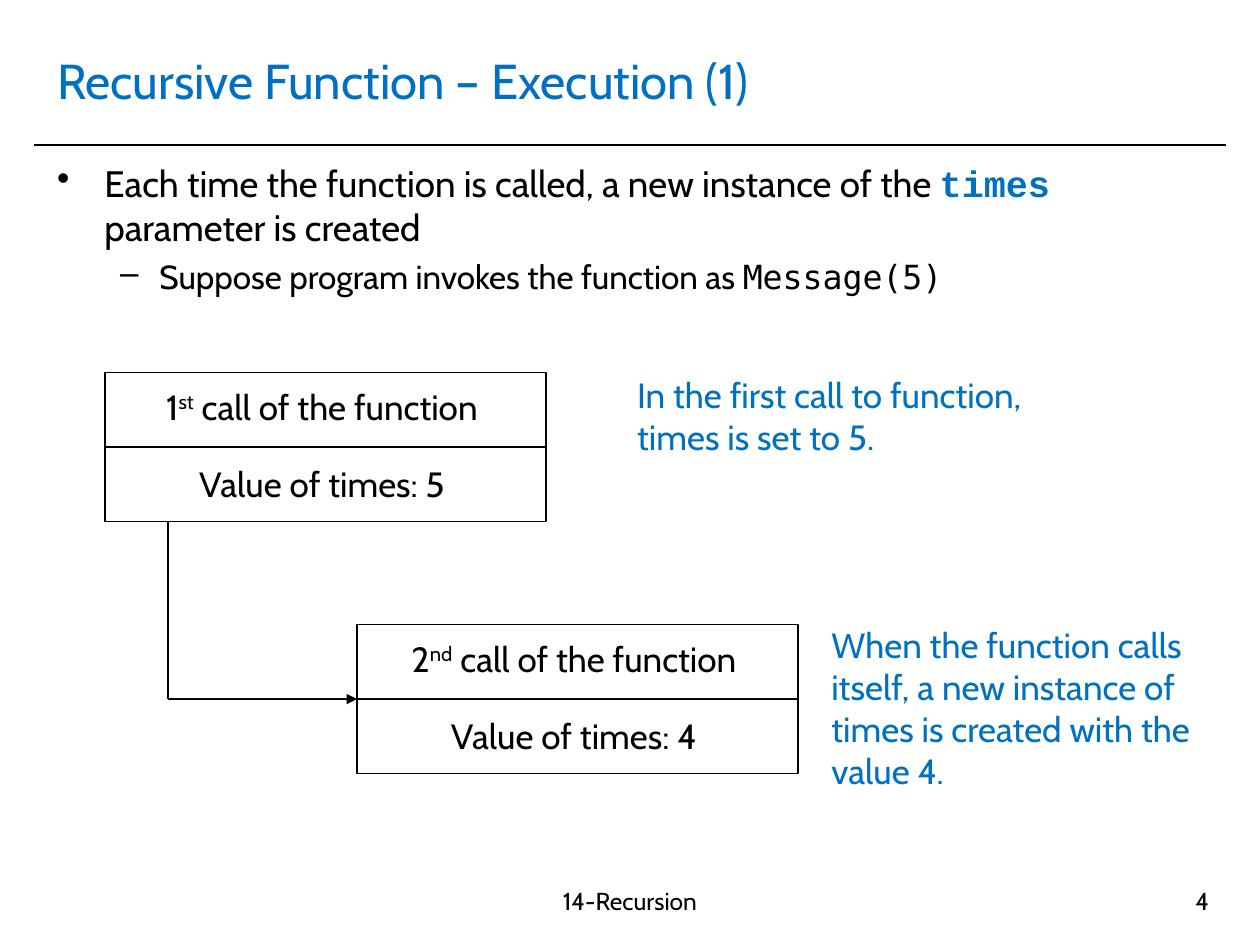
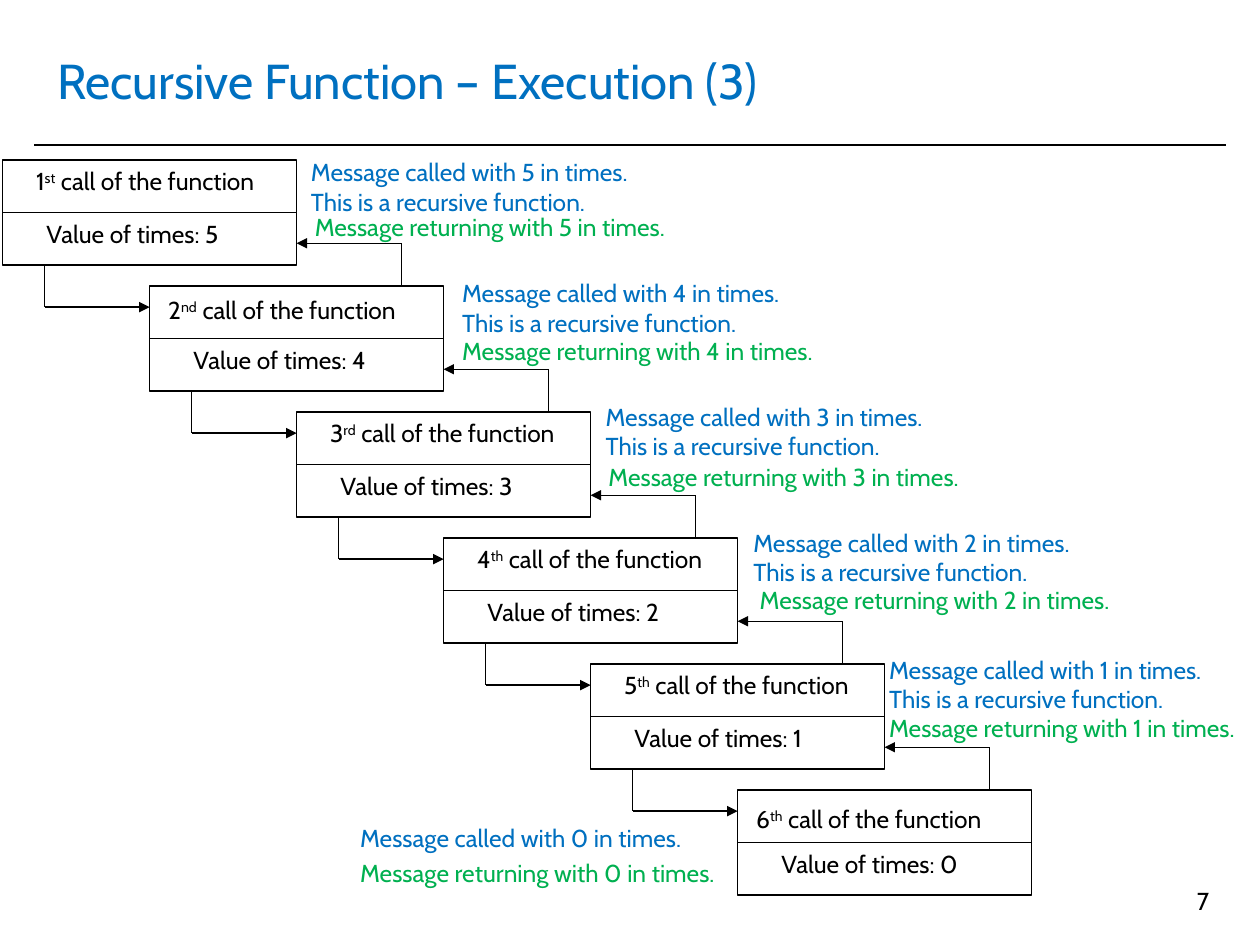
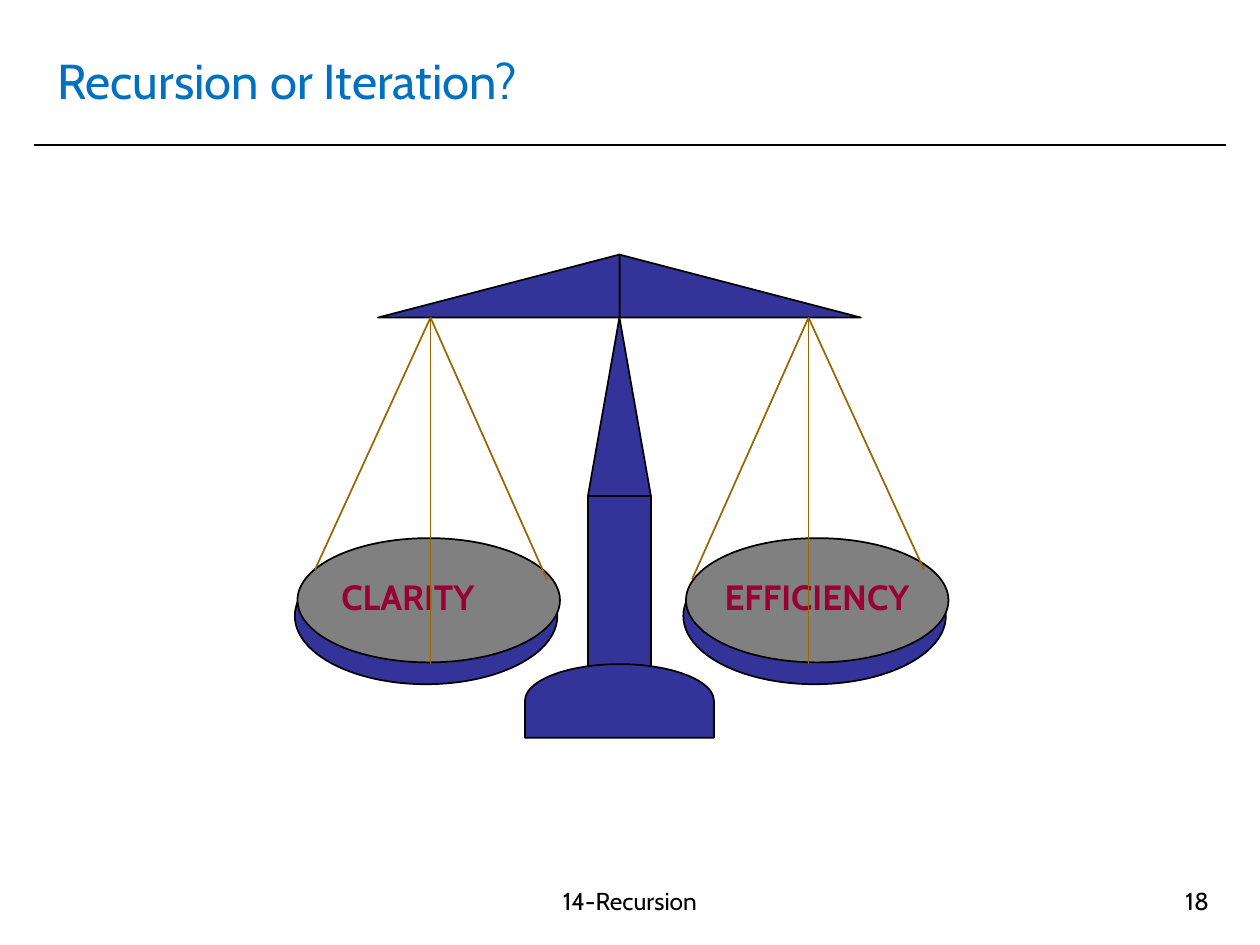
"""Build three slides on recursive function calls and the recursion trade-off."""
from dataclasses import dataclass
from itertools import pairwise
from typing import NamedTuple

from lxml import etree
from pptx import Presentation
from pptx import util as u
from pptx.dml.color import RGBColor
from pptx.enum import shapes, text
from pptx.oxml import ns

COLORS = {
    "black": "000000",
    "blue": "0070C0",
    "green": "00B050",
    "navy": "333399",
    "gray": "808080",
    "crimson": "990033",
    "brown": "996600",
}
FONT = "Cabin"
SHAPE = shapes.MSO_SHAPE
ALIGN = text.PP_ALIGN
CENTER_X = 354
BEAM_Y = 181.5


class Box(NamedTuple):
    left: float
    top: float
    width: float
    height: float


class Point(NamedTuple):
    x: float
    y: float


class Note(NamedTuple):
    value: int
    called: Point
    returning: Point


class Pan(NamedTuple):
    label: str
    dish_left: float
    label_left: float
    label_width: float
    mirrored: bool


@dataclass
class Call:
    number: int
    left: float
    top: float
    value: int
    width: float = 168
    height: float = 60

    @property
    def right(self) -> float:
        return self.left + self.width

    @property
    def bottom(self) -> float:
        return self.top + self.height

    @property
    def middle(self) -> float:
        return self.top + self.height / 2

    @property
    def suffix(self) -> str:
        return {1: "st", 2: "nd", 3: "rd"}.get(self.number, "th")


NOTES = [
    Note(5, Point(170.6, 86.4), Point(172.8, 117.4)),
    Note(4, Point(257, 155.5), Point(257, 188.6)),
    Note(3, Point(339, 226), Point(340.6, 260.6)),
    Note(2, Point(423.4, 298), Point(427, 330.5)),
    Note(1, Point(501, 370.8), Point(501, 404)),
    Note(0, Point(198.7, 466.6), Point(198.7, 486.7)),
]
PANS = [
    Pan("CLARITY", 168.5, 188, 104, False),
    Pan("EFFICIENCY", 390.5, 407, 138, True),
]


def rgb(color: str) -> RGBColor:
    return RGBColor.from_string(COLORS[color])


def add_run(p, content: str, *, size: float = 14, color: str = "black",
            font: str = FONT, bold: bool = False, raised: bool = False) -> None:
    for i, part in enumerate(content.split("\n")):
        if i:
            p.add_line_break()
        r = p.add_run()
        r.text = part
        r.font.size = u.Pt(size)
        r.font.name = font
        r.font.bold = bold
        r.font.color.rgb = rgb(color)
        if raised:
            r.font._element.set("baseline", "30000")


def add_frame(s, box: Box, anchor=text.MSO_ANCHOR.TOP):
    tf = s.shapes.add_textbox(*map(u.Pt, box)).text_frame
    tf.word_wrap = True
    tf.vertical_anchor = anchor
    return tf


def add_text(s, box: Box, content: str, align=ALIGN.LEFT,
             anchor=text.MSO_ANCHOR.TOP, **fmt) -> None:
    p = add_frame(s, box, anchor).paragraphs[0]
    p.alignment = align
    add_run(p, content, **fmt)


def add_bullet(p, char: str, margin: float, indent: float) -> None:
    pPr = p._p.get_or_add_pPr()
    pPr.set("marL", str(u.Pt(margin)))
    pPr.set("indent", str(u.Pt(-indent)))
    etree.SubElement(pPr, ns.qn("a:buChar"), char=char)


def add_line(s, start: Point, end: Point, *, color: str = "black",
             width: float = 0.75, arrow: bool = False) -> None:
    c = s.shapes.add_connector(shapes.MSO_CONNECTOR.STRAIGHT,
                               *map(u.Pt, (*start, *end)))
    c.line.color.rgb = rgb(color)
    c.line.width = u.Pt(width)
    if arrow:
        etree.SubElement(c.line._get_or_add_ln(), ns.qn("a:tailEnd"), type="triangle")
    etree.SubElement(c._element.spPr, ns.qn("a:effectLst"))


def add_elbow(s, start: Point, end: Point) -> None:
    corner = Point(start.x, end.y)
    add_line(s, start, corner)
    add_line(s, corner, end, arrow=True)


def add_shape(s, kind, box: Box, *, fill: str = "", width: float = 1,
              rotation: float = 0, flip: bool = False) -> None:
    sp = s.shapes.add_shape(kind, *map(u.Pt, box))
    sp.shadow.inherit = False
    sp.rotation = rotation
    sp.line.color.rgb = rgb("black")
    sp.line.width = u.Pt(width)
    if fill:
        sp.fill.solid()
        sp.fill.fore_color.rgb = rgb(fill)
    else:
        sp.fill.background()
    if flip:
        sp._element.spPr.get_or_add_xfrm().set("flipH", "1")


def add_slide(prs, title: str, number: int, footer: str = ""):
    s = prs.slides.add_slide(prs.slide_layouts[6])
    add_line(s, Point(19.5, 82.8), Point(700.5, 82.8), width=1)
    add_text(s, Box(25.5, 15, 669, 61), title, anchor=text.MSO_ANCHOR.MIDDLE,
             size=28, color="blue")
    if footer:
        add_text(s, Box(241, 502.5, 238, 37.5), footer, ALIGN.CENTER)
    add_text(s, Box(530, 502.5, 168, 37.5), str(number), ALIGN.RIGHT)
    return s


def add_call(s, call: Call, head: Box, value: Box, *, size: float, align) -> None:
    add_shape(s, SHAPE.RECTANGLE, Box(call.left, call.top, call.width, call.height),
              width=0.75)
    add_line(s, Point(call.left, call.middle), Point(call.right, call.middle))
    p = add_frame(s, head).paragraphs[0]
    p.alignment = align
    add_run(p, str(call.number), size=size)
    add_run(p, call.suffix, size=size, raised=True)
    add_run(p, " call of the function", size=size)
    add_text(s, value, f"Value of times: {call.value}", align, size=size)


def build_first_calls(prs) -> None:
    s = add_slide(prs, "Recursive Function – Execution (1)", 4, "14-Recursion")
    tf = add_frame(s, Box(25.5, 88.5, 669, 114))
    p = tf.paragraphs[0]
    add_bullet(p, "•", 27, 27)
    add_run(p, "Each time the function is called, a new instance of the ", size=21)
    add_run(p, "times ", size=21, color="blue", font="Courier New", bold=True)
    add_run(p, "parameter is created", size=21)
    p = tf.add_paragraph()
    p.level = 1
    add_bullet(p, "–", 58.5, 22.5)
    p.space_before = u.Pt(4)
    add_run(p, "Suppose program invokes the function as ", size=19)
    add_run(p, "Message(5)", size=19, font="DejaVu Sans Mono")

    calls = [Call(i + 1, 60 + 144 * i, 213 + 144 * i, 5 - i, 252, 85)
             for i in range(2)]
    for call in calls:
        head = Box(call.left, call.top + 3.5, call.width - 4, 31.5)
        add_call(s, call, head, head._replace(top=call.top + 47.5),
                 size=20, align=ALIGN.CENTER)
    first, second = calls
    add_elbow(s, Point(first.left + 36, first.bottom),
              Point(second.left, second.middle))
    add_text(s, Box(357, 210, 258, 55.5),
             "In the first call to function, times is set to 5.", size=20, color="blue")
    add_text(s, Box(468, 352.8, 252, 104.5),
             "When the function calls\nitself, a new instance of\n"
             "times is created with the\nvalue 4.", size=20, color="blue")


def build_call_chain(prs) -> None:
    s = add_slide(prs, "Recursive Function – Execution (3)", 7)
    nudges = {2: Point(3.5, 1.5), 6: Point(3.5, 4.5)}
    calls = [Call(i + 1, 1.5 + 84 * i, 91.5 + 72 * i, 5 - i) for i in range(6)]
    for call in calls:
        dx, dy = nudges.get(call.number, Point(12, 0))
        add_call(s, call, Box(call.left + dx, call.top + dy, 156, 24.5),
                 Box(call.left + 18, call.middle, 139, 24.5),
                 size=14, align=ALIGN.LEFT)
    for caller, callee in pairwise(calls):
        add_elbow(s, Point(caller.left + 24, caller.bottom),
                  Point(callee.left, callee.top + 12))
        add_elbow(s, Point(callee.left + 144, callee.top),
                  Point(caller.right, caller.top + 47.5))
    for note in NOTES:
        called = f"Message called with {note.value} in times."
        if note.value:
            called += "\nThis is a recursive function."
        add_text(s, Box(*note.called, 213, 41 if note.value else 24.5), called,
                 color="blue")
        add_text(s, Box(*note.returning, 219, 24.5),
                 f"Message returning with {note.value} in times.", color="green")


def build_scales(prs) -> None:
    s = add_slide(prs, "Recursion or Iteration?", 18, "14-Recursion")
    for pan in PANS:
        add_shape(s, SHAPE.OVAL, Box(pan.dish_left, 313, 150, 78), fill="navy")
        add_shape(s, SHAPE.OVAL, Box(pan.dish_left + 1.5, 307.5, 150, 71), fill="gray")
        add_text(s, Box(pan.label_left, 325.5, pan.label_width, 31.5), pan.label,
                 size=20, color="crimson", bold=True)
    add_shape(s, SHAPE.ISOSCELES_TRIANGLE, Box(CENTER_X - 18, BEAM_Y, 36, 102),
              fill="navy")
    add_shape(s, SHAPE.RECTANGLE, Box(CENTER_X - 18, BEAM_Y + 102, 36, 102),
              fill="navy")
    add_shape(s, SHAPE.FLOWCHART_DELAY, Box(CENTER_X - 21, 346.5, 42, 108),
              fill="navy", rotation=270)
    for left, flip in ((CENTER_X, False), (CENTER_X - 138, True)):
        add_shape(s, SHAPE.RIGHT_TRIANGLE, Box(left, BEAM_Y - 36, 138, 36),
                  fill="navy", flip=flip)
    for pan in PANS:
        side = 1 if pan.mirrored else -1
        hook = Point(CENTER_X + side * 108, BEAM_Y)
        for reach, y in ((41.5, 331), (174, 325.5), (108, 379.5)):
            add_line(s, hook, Point(CENTER_X + side * reach, y),
                     color="brown", width=1)


def main() -> None:
    prs = Presentation()
    prs.slide_width, prs.slide_height = u.Pt(720), u.Pt(540)
    build_first_calls(prs)
    build_call_chain(prs)
    build_scales(prs)
    prs.save("out.pptx")


if __name__ == "__main__":
    main()
